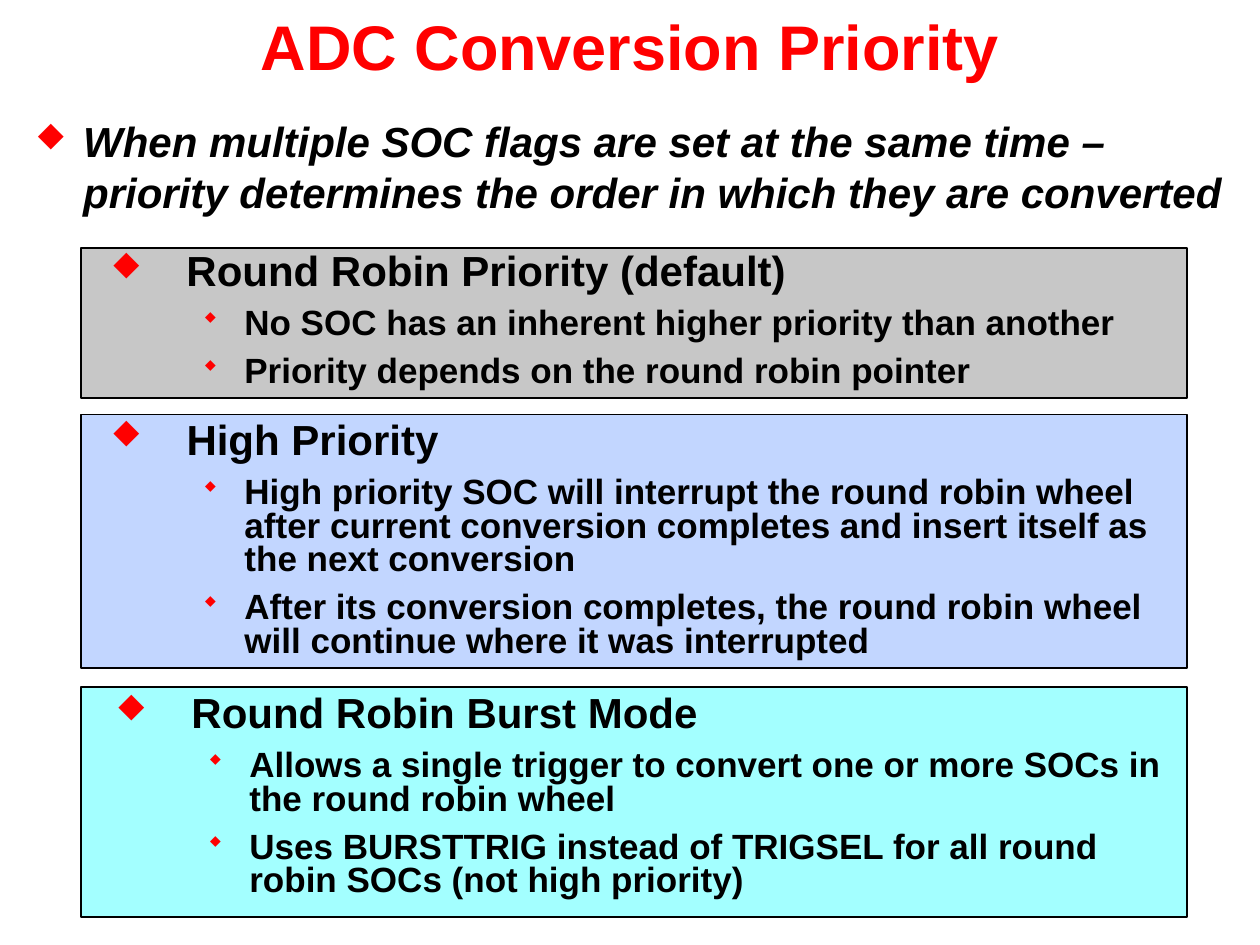
from lxml.etree import SubElement
from pptx import Presentation
from pptx.dml.color import RGBColor
from pptx.enum.shapes import MSO_SHAPE
from pptx.enum.text import MSO_ANCHOR, MSO_AUTO_SIZE, PP_ALIGN
from pptx.oxml.ns import qn
from pptx.util import Inches, Pt

RED = "FF0000"
BLACK = "000000"
LARGE_DIAMOND = "u"
MEDIUM_DIAMOND = "w"
PANELS = [
    {"fill": "C7C7C7", "frame": (1.97, 1.19), "text_area": (0.6, 2.02, 8.53, 1.13), "inset": 0.28,
     "heading": "Round Robin Priority (default)",
     "points": ["No SOC has an inherent higher priority than another",
                "Priority depends on the round robin pointer"]},
    {"fill": "C2D6FF", "frame": (3.29, 2.01), "text_area": (0.69, 3.36, 8.61, 1.94), "inset": 0.19,
     "heading": "High Priority",
     "points": ["High priority SOC will interrupt the round robin wheel after current "
                "conversion completes and insert itself as the next conversion",
                "After its conversion completes, the round robin wheel will continue "
                "where it was interrupted"]},
    {"fill": "A3FFFF", "frame": (5.45, 1.83), "text_area": (0.81, 5.53, 8.53, 1.67), "inset": 0.11,
     "heading": "Round Robin Burst Mode",
     "points": ["Allows a single trigger to convert one or more SOCs in the round robin wheel",
                "Uses BURSTTRIG instead of TRIGSEL for all round robin SOCs (not high priority)"]},
]


def color(value):
    """Return the colour for a hex string."""
    return RGBColor.from_string(value)


def place(shape, left, top, width, height):
    """Move and size a shape, in inches."""
    shape.left, shape.top = Inches(left), Inches(top)
    shape.width, shape.height = Inches(width), Inches(height)


def add_bullet(para, symbol, indent, hanging):
    """Give a paragraph a red Wingdings bullet with a hanging indent."""
    properties = para._p.get_or_add_pPr()
    properties.set("marL", str(Inches(indent)))
    properties.set("indent", str(-Inches(hanging)))
    bullet_color = SubElement(properties, qn("a:buClr"))
    SubElement(bullet_color, qn("a:srgbClr"), val=RED)
    SubElement(properties, qn("a:buSzPct"), val="75000")
    SubElement(properties, qn("a:buFont"), typeface="Wingdings", pitchFamily="2", charset="2")
    SubElement(properties, qn("a:buChar"), char=symbol)


def write(para, text, size=24, fill=BLACK, italic=False, before=0, spacing=1.0, align=PP_ALIGN.LEFT):
    """Write bold text into a paragraph and format it."""
    para.alignment = align
    para.line_spacing = spacing
    para.space_before = Pt(before)
    span = para.add_run()
    span.text = text
    span.font.name = "Arial"
    span.font.size = Pt(size)
    span.font.bold = True
    span.font.italic = italic
    span.font.color.rgb = color(fill)


def fill_title(title, text):
    """Place and write the slide title."""
    place(title, 0, 0.01, 10, 0.67)
    frame = title.text_frame
    frame.auto_size = MSO_AUTO_SIZE.NONE
    frame.vertical_anchor = MSO_ANCHOR.BOTTOM
    frame.margin_bottom = Inches(0.02)
    write(frame.paragraphs[0], text, size=36, fill=RED, align=PP_ALIGN.CENTER)


def fill_body(body, text):
    """Place and write the introductory bullet."""
    place(body, 0.18, 0.87, 9.64, 0.96)
    frame = body.text_frame
    frame.auto_size = MSO_AUTO_SIZE.NONE
    para = frame.paragraphs[0]
    add_bullet(para, LARGE_DIAMOND, 0.38, 0.38)
    write(para, text, italic=True)


def add_panel(page, panel):
    """Add a framed panel with a heading and its points."""
    group = page.shapes.add_group_shape()
    top, height = panel["frame"]
    back = group.shapes.add_shape(MSO_SHAPE.RECTANGLE, Inches(0.64), Inches(top),
                                  Inches(8.78), Inches(height))
    back.shadow.inherit = False
    back.fill.solid()
    back.fill.fore_color.rgb = color(panel["fill"])
    back.line.color.rgb = color(BLACK)
    back.line.width = Pt(1)

    box = group.shapes.add_textbox(*map(Inches, panel["text_area"]))
    frame = box.text_frame
    frame.word_wrap = True
    frame.auto_size = MSO_AUTO_SIZE.SHAPE_TO_FIT_TEXT
    frame.margin_left = Inches(panel["inset"])
    frame.margin_top = frame.margin_right = frame.margin_bottom = 0
    heading = frame.paragraphs[0]
    add_bullet(heading, LARGE_DIAMOND, 0.6, 0.6)
    write(heading, panel["heading"], spacing=0.8)
    for point in panel["points"]:
        para = frame.add_paragraph()
        para.level = 1
        add_bullet(para, MEDIUM_DIAMOND, 1.06, 0.33)
        write(para, point, size=20, before=8, spacing=0.8)


def main():
    """Build and save the slide."""
    deck = Presentation()
    deck.slide_width, deck.slide_height = Inches(10), Inches(7.5)
    page = deck.slides.add_slide(deck.slide_layouts[1])
    fill_title(page.shapes.title, "ADC Conversion Priority")
    fill_body(page.placeholders[1], "When multiple SOC flags are set at the same time – "
              "priority determines the order in which they are converted")
    for panel in PANELS:
        add_panel(page, panel)
    deck.save("out.pptx")


if __name__ == "__main__":
    main()
